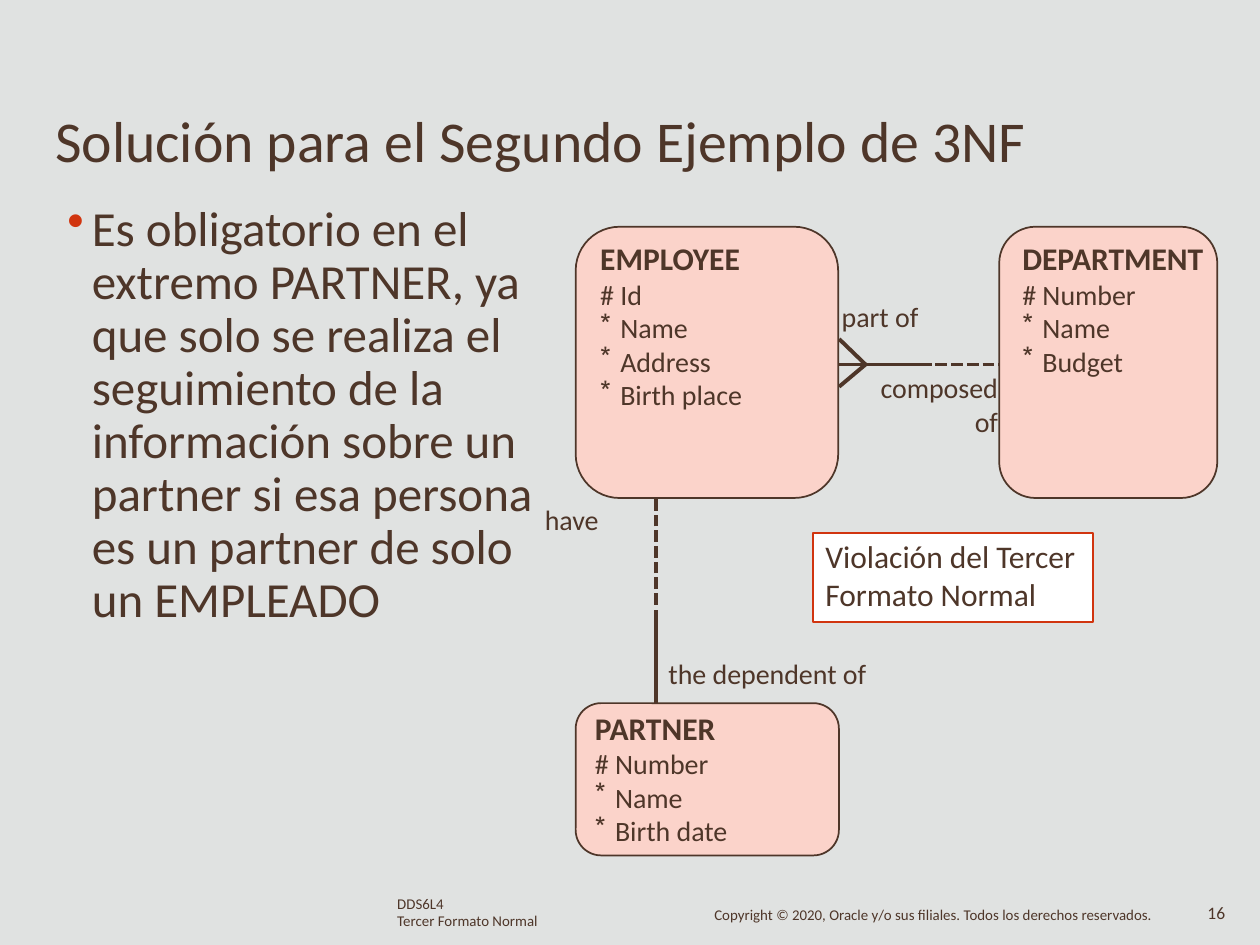
from lxml import etree
from pptx import Presentation, util as u
from pptx.dml.color import RGBColor
from pptx.enum import dml, shapes, text
from pptx.oxml.ns import qn

COLORS = {"ink": "4E3629", "background": "E0E2E1", "entity": "FBD3CA",
          "accent": "D1350F", "white": "FFFFFF"}
FONT = "Calibri"

TITLE = "Solución para el Segundo Ejemplo de 3NF"
BODY = ("Es obligatorio en el extremo PARTNER, ya que solo se realiza el "
        "seguimiento de la información sobre un partner si esa persona "
        "es un partner de solo un EMPLEADO")
NOTE = "Violación del Tercer Formato Normal"

# name, box (left, top, width, height), text offset (left, top), key, attributes
ENTITIES = [
    ("EMPLOYEE", (329, 129.6, 150, 155), (14, 7.2), "Id",
     ["Name", "Address", "Birth place"]),
    ("DEPARTMENT", (571, 129.6, 124.6, 155), (13.2, 7.2), "Number",
     ["Name", "Budget"]),
    ("PARTNER", (329, 401.8, 150.4, 87), (11, 3.2), "Number",
     ["Name", "Birth date"]),
]
# start, end, dashed
LINES = [
    ((375, 401.8), (375, 348.5), False),
    ((375, 345.6), (375, 285), True),
    ((479.5, 193.7), (494.6, 208.3), False),
    ((479.5, 221), (494.6, 208.3), False),
    ((525.6, 208.3), (576, 208.3), True),
    ((525.6, 208.3), (479, 208.3), False),
]
# lines of text, box, alignment
LABELS = [
    (["have"], (311.3, 287.3, 40, 20), "LEFT"),
    (["part of"], (481, 171.3, 55, 20), "LEFT"),
    (["composed", "of"], (499, 211.7, 71.3, 40), "RIGHT"),
    (["the dependent of"], (382, 375.2, 130, 20), "LEFT"),
]
# lines of text, box, size, line spacing
FOOTERS = [
    (["DDS6L4", "Tercer Formato Normal"], (227, 511.8, 90, 20), 8.5, 9.7),
    (["Copyright © 2020, Oracle y/o sus filiales. Todos los derechos reservados."],
     (408.2, 518.6, 258, 11), 8.5, 9.1),
    (["16"], (690, 517, 16, 12), 10, 10.4),
]


def color(name):
    return RGBColor.from_string(COLORS[name])


def points(values):
    return [u.Pt(value) for value in values]


def set_frame(shape, left=0, top=0):
    frame = shape.text_frame
    frame.word_wrap = True
    frame.auto_size = text.MSO_AUTO_SIZE.NONE
    frame.vertical_anchor = text.MSO_ANCHOR.TOP
    frame.margin_left, frame.margin_top = points((left, top))
    frame.margin_right = frame.margin_bottom = 0
    return frame


def style(paragraph, size, bold=False, align="LEFT", spacing=None):
    paragraph.alignment = getattr(text.PP_ALIGN, align)
    if spacing:
        paragraph.line_spacing = u.Pt(spacing)
    for run in paragraph.runs:
        run.font.name, run.font.size, run.font.bold = FONT, u.Pt(size), bold
        run.font.color.rgb = color("ink")


def add_bullet(paragraph, character, indent, bullet_color):
    properties = paragraph._p.get_or_add_pPr()
    properties.set("marL", str(u.Pt(indent)))
    properties.set("indent", str(-u.Pt(indent)))
    holder = etree.SubElement(properties, qn("a:buClr"))
    etree.SubElement(holder, qn("a:srgbClr"), val=COLORS[bullet_color])
    etree.SubElement(properties, qn("a:buChar"), char=character)


def add_text(slide, lines, box, size, align="LEFT", spacing=None):
    frame = set_frame(slide.shapes.add_textbox(*points(box)))
    frame.text = "\n".join(lines)
    for paragraph in frame.paragraphs:
        style(paragraph, size, align=align, spacing=spacing)
    return frame


def add_box(slide, kind, box, fill, line):
    shape = slide.shapes.add_shape(kind, *points(box))
    shape.shadow.inherit = False
    shape.fill.solid()
    shape.fill.fore_color.rgb = color(fill)
    shape.line.color.rgb = color(line)
    shape.line.width = u.Pt(1)
    return shape


def add_line(slide, start, end, dashed):
    line = slide.shapes.add_connector(shapes.MSO_CONNECTOR.STRAIGHT,
                                      *points(start + end))
    line.line.color.rgb = color("ink")
    line.line.width = u.Pt(2.25)
    if dashed:
        line.line.dash_style = dml.MSO_LINE.SQUARE_DOT
    etree.SubElement(line._element.spPr, qn("a:effectLst"))


def add_entity(slide, name, box, offset, key, attributes):
    add_box(slide, shapes.MSO_SHAPE.ROUNDED_RECTANGLE, box, "entity", "ink")
    left, top, width, height = box
    shift, drop = offset
    text_box = (left + shift, top + drop, width - shift, height - drop)
    frame = add_text(slide, [name, f"# {key}"] + attributes, text_box, 16)
    heading, _, *items = frame.paragraphs
    style(heading, 18, bold=True)
    for item in items:
        add_bullet(item, "*", 11.5, "ink")


def main():
    presentation = Presentation()
    presentation.slide_width, presentation.slide_height = points((720, 540))
    slide = presentation.slides.add_slide(presentation.slide_layouts[5])
    slide.background.fill.solid()
    slide.background.fill.fore_color.rgb = color("background")

    # Title
    title = slide.shapes.title
    title.left, title.top, title.width, title.height = points((31.5, 59, 600, 42))
    frame = set_frame(title, top=0.9)
    frame.text = TITLE
    style(frame.paragraphs[0], 33)

    # Explanation
    paragraph = add_text(slide, [BODY], (38.5, 116, 267, 244), 28,
                         spacing=30.3).paragraphs[0]
    add_bullet(paragraph, "•", 14, "accent")

    # Relationships and entities
    for line in LINES:
        add_line(slide, *line)
    for entity in ENTITIES:
        add_entity(slide, *entity)
    for lines, box, align in LABELS:
        add_text(slide, lines, box, 16, align)

    # Note
    note = add_box(slide, shapes.MSO_SHAPE.RECTANGLE, (464.5, 304.4, 160, 51),
                   "white", "accent")
    frame = set_frame(note, 7.2, 2.5)
    frame.text = NOTE
    style(frame.paragraphs[0], 18)

    # Footer
    for lines, box, size, spacing in FOOTERS:
        add_text(slide, lines, box, size, spacing=spacing)

    presentation.save("out.pptx")


if __name__ == "__main__":
    main()
